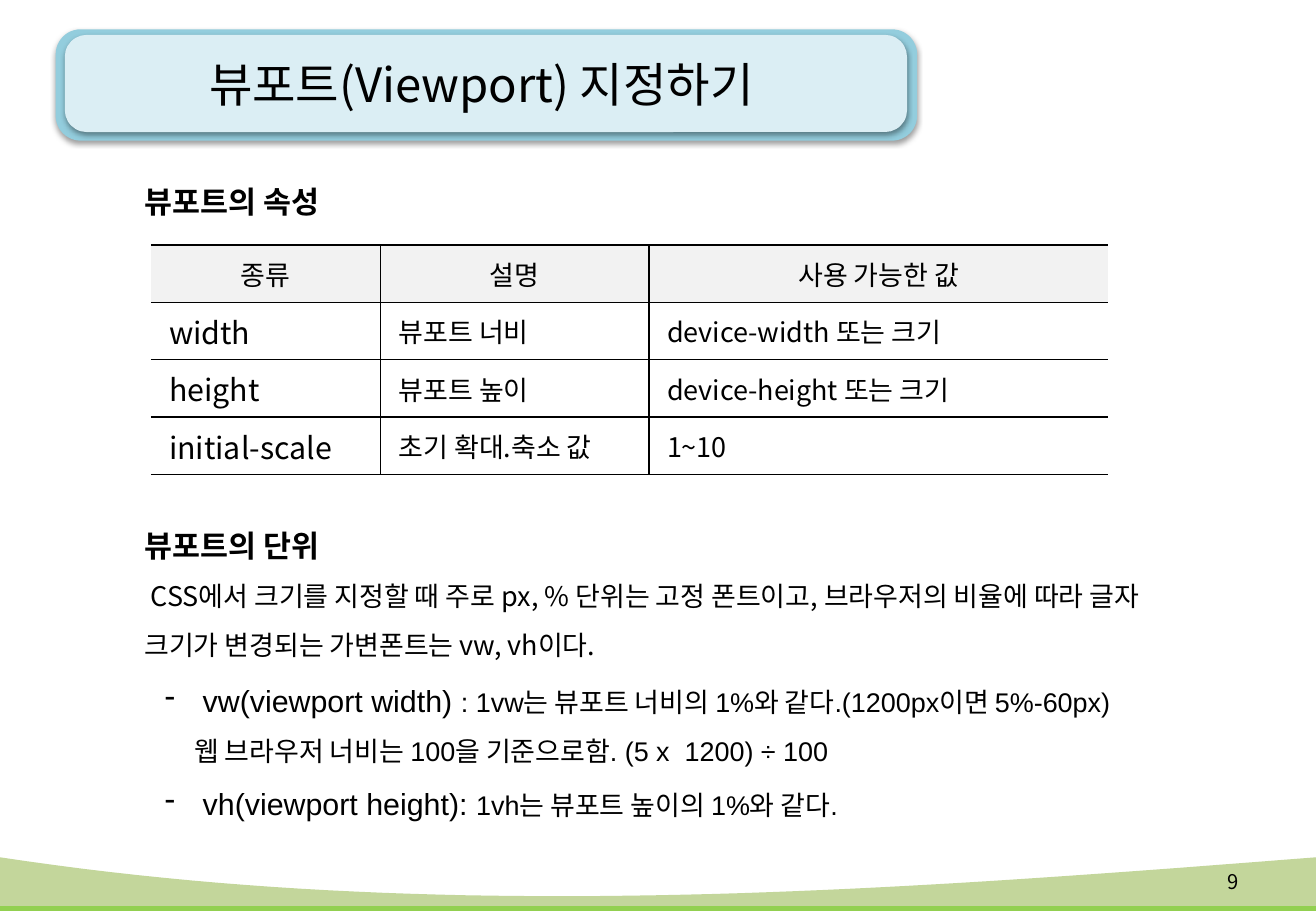
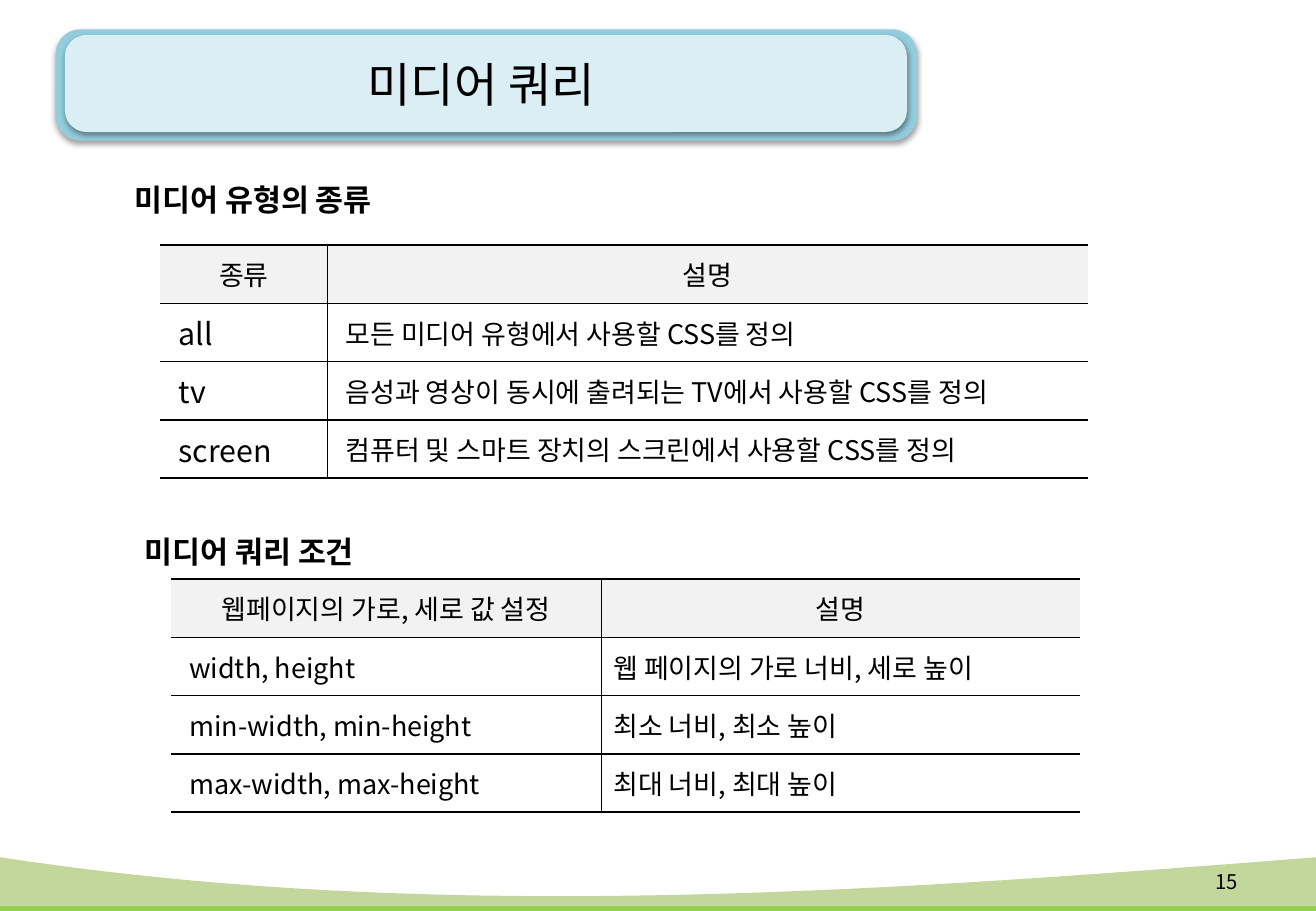
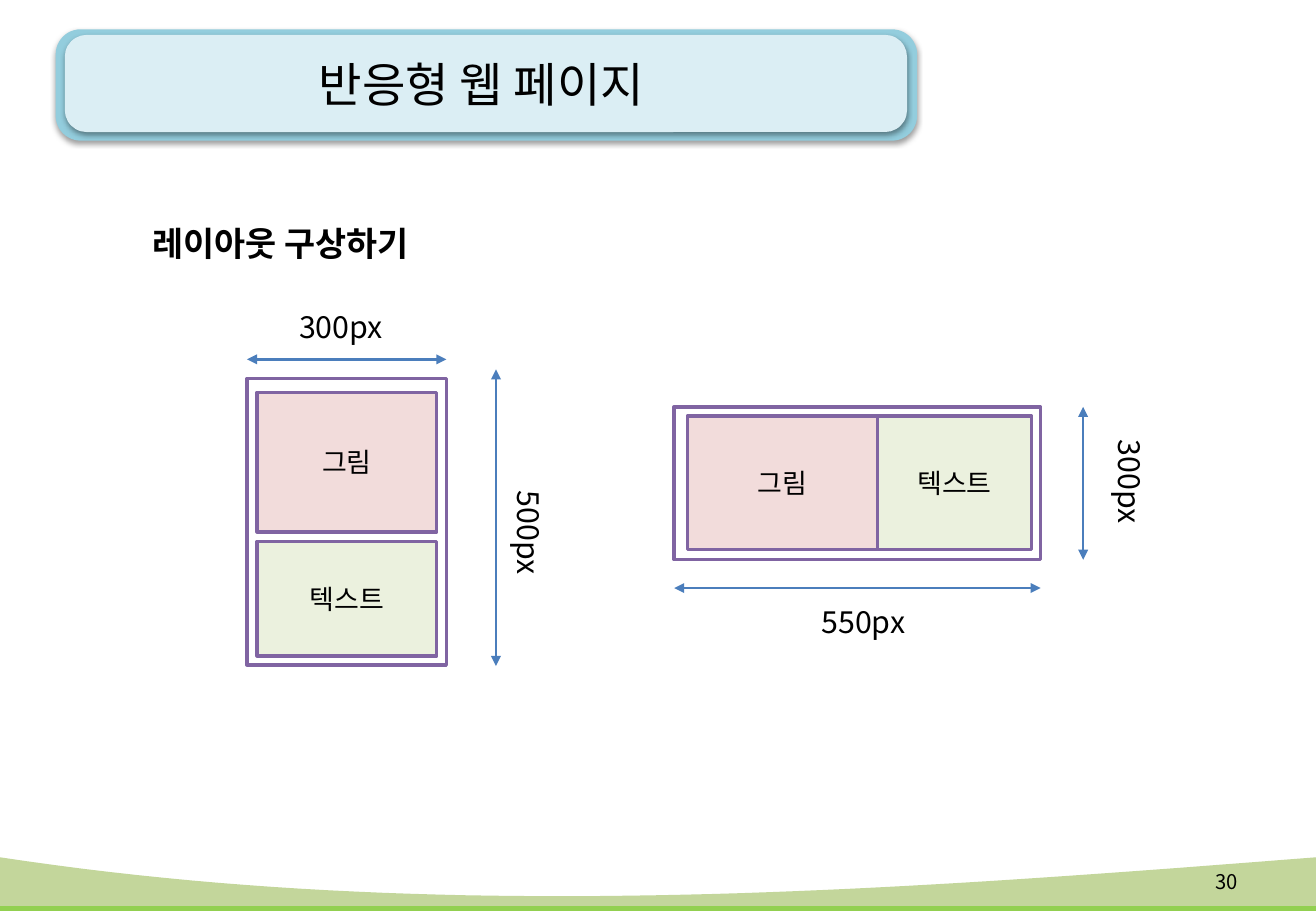
from dataclasses import dataclass
from typing import Any

from lxml import etree
from pptx import Presentation
from pptx.dml.color import RGBColor
from pptx.enum import shapes, text
from pptx.oxml import ns
from pptx.util import Emu, Inches, Pt

COLS, ROWS = 130, 90
CELL = Inches(1) // 12
SANS, ARIAL = "Noto Sans CJK KR", "Arial"
HEX = {
    "ink": "000000", "slab": "93CDDD", "plate": "DBEEF4", "lime": "92D050",
    "sage": "C3D69B", "head": "F2F2F2", "white": "FFFFFF", "rose": "F2DCDB",
    "leaf": "EBF1DE", "plum": "8064A2", "blue": "4B7EBC",
}


@dataclass(frozen=True)
class Box:
    x: float
    y: float
    w: float
    h: float

    def emu(self) -> list[Emu]:
        return [grid(v) for v in (self.x, self.y, self.w, self.h)]


@dataclass(frozen=True)
class Run:
    text: str
    size: float = 16
    bold: bool = False
    face: str = SANS


@dataclass(frozen=True)
class Para:
    runs: tuple[Run, ...]
    align: Any = text.PP_ALIGN.LEFT
    space: float = 1.0
    left: float = 0
    first: float = 0
    mark: str = ""


@dataclass(frozen=True)
class Wave:
    edge: float
    dips: tuple[float, float]
    base: float
    tone: str


@dataclass(frozen=True)
class Grid:
    x: float
    y: float
    cols: tuple[float, ...]
    row: float
    sizes: tuple[float, ...]
    pads: tuple[float, ...]
    rows: tuple[tuple[str, ...], ...]


@dataclass(frozen=True)
class Pane:
    box: Box
    tone: str
    label: str = ""


@dataclass(frozen=True)
class Arrow:
    x1: float
    y1: float
    x2: float
    y2: float


@dataclass(frozen=True)
class Label:
    x: float
    y: float
    text: str
    turn: float = 0


WAVES = (
    Wave(86.9, (91.2, 89.2), ROWS, "lime"),
    Wave(84.7, (91.3, 88.1), 89.5, "sage"),
)
PLATES = (
    Pane(Box(5.5, 2.9, 85.1, 11), "slab"),
    Pane(Box(6.4, 3.45, 83.2, 9.6), "plate"),
)


def grid(n: float) -> Emu:
    return Emu(round(n * CELL))


def rgb(name: str) -> RGBColor:
    return RGBColor.from_string(HEX[name])


def sub(node: Any, tag: str, **attrs: Any) -> Any:
    return etree.SubElement(node, ns.qn(tag), {k: str(v) for k, v in attrs.items()})


def paint(shape: Any, tone: str) -> None:
    shape.shadow.inherit = False
    shape.fill.solid()
    shape.fill.fore_color.rgb = rgb(tone)
    shape.line.fill.background()


def write(frame: Any, paras: tuple[Para, ...]) -> None:
    for i, item in enumerate(paras):
        para = frame.paragraphs[0] if i == 0 else frame.add_paragraph()
        para.alignment = item.align
        para.line_spacing = item.space
        props = para._p.get_or_add_pPr()
        props.set("marL", str(grid(item.left)))
        props.set("indent", str(grid(item.first)))
        if item.mark:
            sub(props, "a:buChar", char=item.mark)
        for part in item.runs:
            run = para.add_run()
            run.text = part.text
            run.font.size = Pt(part.size)
            run.font.bold = part.bold
            run.font.color.rgb = rgb("ink")
            run.font.name = part.face
            sub(run._r.get_or_add_rPr(), "a:ea", typeface=SANS)


def note(slide: Any, box: Box, *paras: Para, middle: bool = False) -> Any:
    shape = slide.shapes.add_textbox(*box.emu())
    frame = shape.text_frame
    frame.word_wrap = True
    frame.vertical_anchor = text.MSO_ANCHOR.MIDDLE if middle else text.MSO_ANCHOR.TOP
    write(frame, paras)
    return shape


def head(words: str, size: float = 18) -> Para:
    return Para((Run(words, size, True),), space=1.5)


def mid(words: str, size: float = 16) -> Para:
    return Para((Run(words, size),), text.PP_ALIGN.CENTER)


def swell(slide: Any, wave: Wave, steps: int = 48) -> None:
    low, high = wave.dips
    pts = []
    for i in range(steps + 1):
        t = i / steps
        y = wave.edge * ((1 - t) ** 3 + t ** 3) + 3 * t * (1 - t) * (low * (1 - t) + high * t)
        pts.append((grid(COLS * t), grid(y)))
    pts += [(grid(COLS), grid(wave.base)), (0, grid(wave.base))]
    pen = slide.shapes.build_freeform(*pts[0])
    pen.add_line_segments(pts[1:], close=True)
    paint(pen.convert_to_shape(), wave.tone)


def plate(slide: Any, pane: Pane) -> None:
    shape = slide.shapes.add_shape(shapes.MSO_SHAPE.ROUNDED_RECTANGLE, *pane.box.emu())
    shape.adjustments[0] = 0.225
    paint(shape, pane.tone)
    glow = shape._element.spPr.find(ns.qn("a:effectLst"))
    cast = sub(glow, "a:outerShdw", blurRad=Pt(3.1), dist=Pt(1.6), dir=5400000, rotWithShape=0)
    sub(sub(cast, "a:srgbClr", val=HEX["ink"]), "a:alpha", val=38000)


def base(deck: Any, title: str, page: int) -> Any:
    slide = deck.slides.add_slide(deck.slide_layouts[6])
    swell(slide, WAVES[0])
    for pane in PLATES:
        plate(slide, pane)
    swell(slide, WAVES[1])
    note(slide, Box(5.5, 2.65, 84.1, 11.3), mid(title, 28), middle=True)
    number = Para((Run(str(page), 12),), text.PP_ALIGN.RIGHT)
    note(slide, Box(116.2, 84.7, 7.3, 4.8), number, middle=True)
    return slide


def rule(cell: Any, sides: dict[str, bool]) -> None:
    props = cell._tc.get_or_add_tcPr()
    for i, (side, shown) in enumerate(sides.items()):
        line = sub(props, f"a:ln{side}", w=Pt(1))
        if shown:
            sub(sub(line, "a:solidFill"), "a:srgbClr", val=HEX["ink"])
        else:
            sub(line, "a:noFill")
        props.insert(i, line)


def table(slide: Any, spec: Grid) -> None:
    count, last = len(spec.rows), len(spec.cols) - 1
    box = Box(spec.x, spec.y, sum(spec.cols), spec.row * count)
    tab = slide.shapes.add_table(count, last + 1, *box.emu()).table
    tab.first_row = tab.horz_banding = False
    for c, width in enumerate(spec.cols):
        tab.columns[c].width = grid(width)
    for r, row in enumerate(spec.rows):
        tab.rows[r].height = grid(spec.row)
        for c, words in enumerate(row):
            cell = tab.cell(r, c)
            cell.vertical_anchor = text.MSO_ANCHOR.MIDDLE
            if r == 0:
                write(cell.text_frame, (mid(words),))
                cell.fill.solid()
                cell.fill.fore_color.rgb = rgb("head")
            else:
                cell.margin_left = grid(spec.pads[c])
                write(cell.text_frame, (Para((Run(words, spec.sizes[c]),)),))
                cell.fill.background()
            rule(cell, {"L": c > 0, "R": c < last, "T": True, "B": True})


def panel(slide: Any, pane: Pane) -> None:
    shape = slide.shapes.add_shape(shapes.MSO_SHAPE.RECTANGLE, *pane.box.emu())
    paint(shape, pane.tone)
    shape.line.color.rgb = rgb("plum")
    shape.line.width = Pt(2)
    if pane.label:
        shape.text_frame.vertical_anchor = text.MSO_ANCHOR.MIDDLE
        write(shape.text_frame, (mid(pane.label),))


def arrow(slide: Any, item: Arrow) -> None:
    ends = [grid(v) for v in (item.x1, item.y1, item.x2, item.y2)]
    link = slide.shapes.add_connector(shapes.MSO_CONNECTOR.STRAIGHT, *ends)
    link.line.color.rgb = rgb("blue")
    link.line.width = Pt(1.5)
    line = link.line._get_or_add_ln()
    for tag in ("a:headEnd", "a:tailEnd"):
        sub(line, tag, type="triangle")
    sub(link._element.spPr, "a:effectLst")


def view(deck: Any) -> None:
    slide = base(deck, "뷰포트(Viewport) 지정하기", 9)
    note(slide, Box(13.1, 15.7, 25.4, 6.7), head("뷰포트의 속성"))
    table(slide, Grid(14.9, 24.2, (22.7, 26.5, 45.4), 5.67, (18, 16, 16), (1.8, 1.8, 1.8), (
        ("종류", "설명", "사용 가능한 값"),
        ("width", "뷰포트 너비", "device-width 또는 크기"),
        ("height", "뷰포트 높이", "device-height 또는 크기"),
        ("initial-scale", "초기 확대.축소 값", "1~10"),
    )))
    unit = Run("CSS에서 크기를 지정할 때 주로 px, % 단위는 고정 폰트이고, 브라우저의 비율에 따라 "
               "글자 크기가 변경되는 가변폰트는 vw, vh이다.")
    note(slide, Box(13.1, 49.7, 104.9, 16.3), head("뷰포트의 단위"),
         Para((unit,), space=1.5, first=0.6))
    wide = (Run("vw(viewport width) ", 18, face=ARIAL),
            Run(": 1vw는 뷰포트 너비의 1%와 같다.(1200px이면 5%-60px)", face=ARIAL))
    calc = (Run("웹 브라우저 너비는 100을 기준으로함. (5 x  1200) ÷ 100", face=ARIAL),)
    tall = (Run("vh(viewport height): ", 18, face=ARIAL),
            Run("1vh는 뷰포트 높이의 1%와 같다.", face=ARIAL))
    note(slide, Box(15.1, 65, 103, 16.9),
         Para(wide, space=1.5, left=3.75, first=-3.75, mark="-"),
         Para(calc, space=1.5, left=2.9),
         Para(tall, space=1.5, left=3.75, first=-3.75, mark="-"))


def media(deck: Any) -> None:
    slide = base(deck, "미디어 쿼리", 15)
    note(slide, Box(12.1, 15.5, 70, 6), head("미디어 유형의 종류"))
    table(slide, Grid(15.85, 24.2, (16.5, 75.1), 5.76, (18, 16), (1.8, 1.8), (
        ("종류", "설명"),
        ("all", "모든 미디어 유형에서 사용할 CSS를 정의"),
        ("tv", "음성과 영상이 동시에 출려되는 TV에서 사용할 CSS를 정의"),
        ("screen", "컴퓨터 및 스마트 장치의 스크린에서 사용할 CSS를 정의"),
    )))
    note(slide, Box(13.1, 50.3, 102, 6), head("미디어 쿼리 조건"))
    table(slide, Grid(16.9, 57.2, (42.5, 47.3), 5.76, (16, 16), (1.8, 1.2), (
        ("웹페이지의 가로, 세로 값 설정", "설명"),
        ("width, height", "웹 페이지의 가로 너비, 세로 높이"),
        ("min-width, min-height", "최소 너비, 최소 높이"),
        ("max-width, max-height", "최대 너비, 최대 높이"),
    )))


def plan(deck: Any) -> None:
    slide = base(deck, "반응형 웹 페이지", 30)
    note(slide, Box(13.9, 19.4, 37.8, 7.3), head("레이아웃 구상하기", 20))
    for pane in (
        Pane(Box(24.4, 37.4, 19.7, 28.3), "white"),
        Pane(Box(25.4, 38.75, 17.75, 13.8), "rose", "그림"),
        Pane(Box(25.4, 53.5, 17.75, 11.3), "leaf", "텍스트"),
        Pane(Box(66.6, 40.2, 36.2, 15.1), "white"),
        Pane(Box(67.9, 41.1, 18.8, 13.2), "rose", "그림"),
        Pane(Box(86.7, 41.1, 15.2, 13.2), "leaf", "텍스트"),
    ):
        panel(slide, pane)
    for item in (
        Arrow(24.4, 35.5, 44.1, 35.5),
        Arrow(49, 36.5, 49, 65.8),
        Arrow(66.6, 58.1, 102.8, 58.1),
        Arrow(107, 40.2, 107, 55.3),
    ):
        arrow(slide, item)
    for tag in (
        Label(27.6, 29.9, "300px"),
        Label(79.2, 59, "550px"),
        Label(46.2, 50.2, "500px", 90),
        Label(105.6, 45.2, "300px", 90),
    ):
        note(slide, Box(tag.x, tag.y, 12.2, 4.8), mid(tag.text, 18)).rotation = tag.turn


def main() -> None:
    deck = Presentation()
    deck.slide_width, deck.slide_height = grid(COLS), grid(ROWS)
    for make in (view, media, plan):
        make(deck)
    deck.save("out.pptx")


if __name__ == "__main__":
    main()
